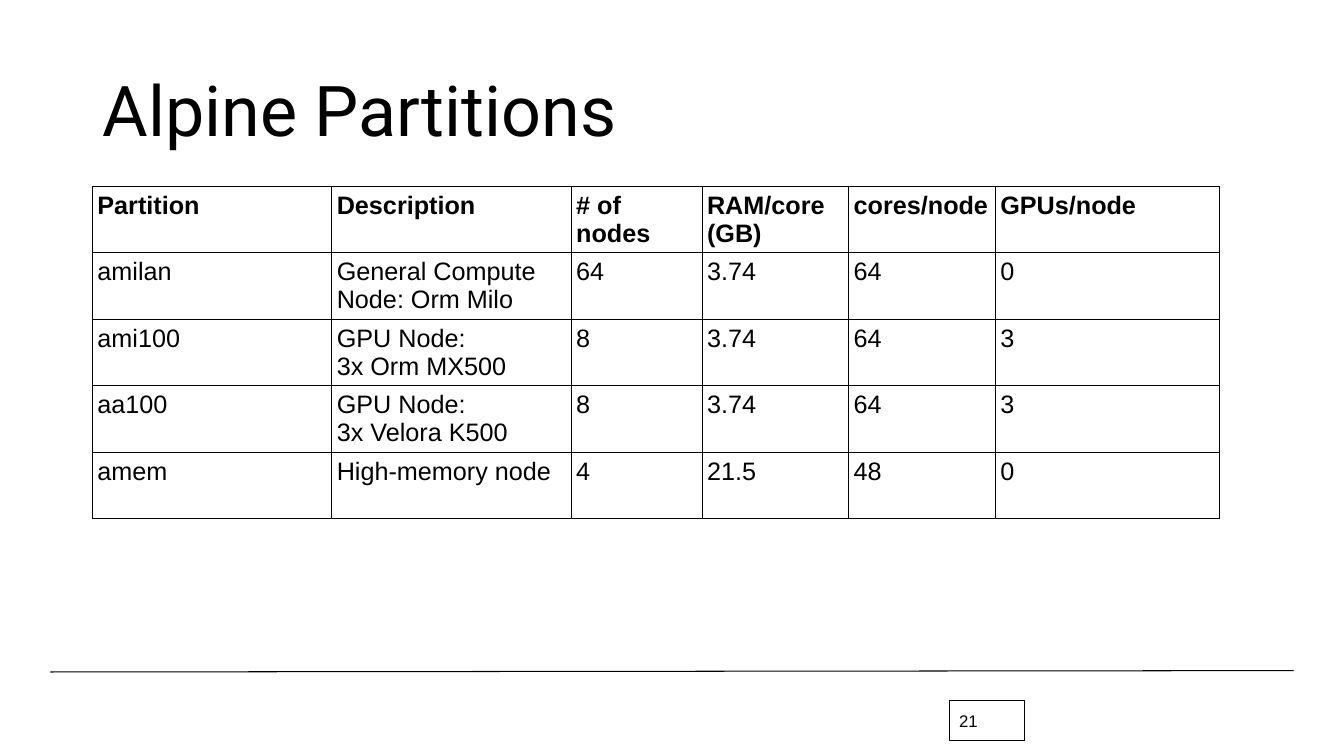
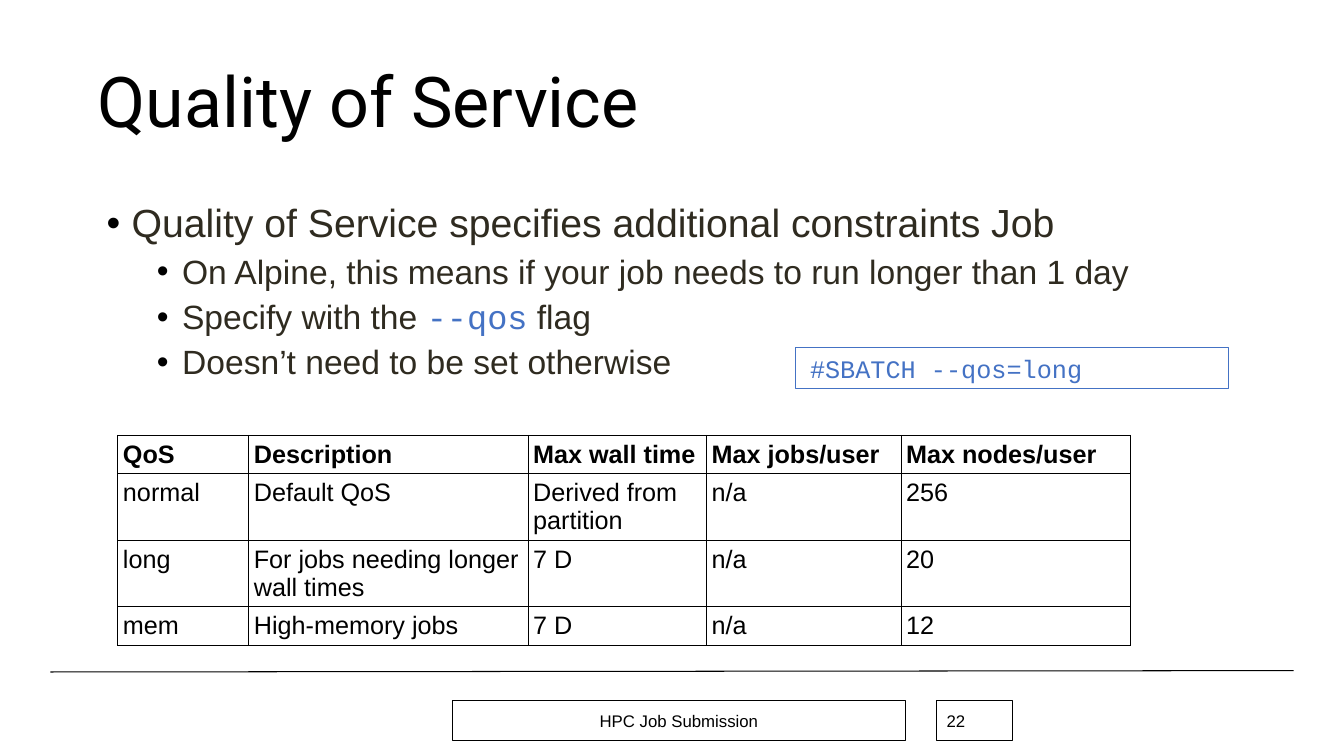
from lxml.etree import SubElement
from pptx import Presentation
from pptx.dml.color import RGBColor
from pptx.enum.shapes import MSO_CONNECTOR, MSO_SHAPE
from pptx.enum.text import MSO_ANCHOR, PP_ALIGN
from pptx.oxml.ns import qn
from pptx.util import Pt

TITLE_ONLY = 5


def color(hex_value):
    return RGBColor.from_string(hex_value)


def add_bullet(paragraph, indent, hanging, hex_value):
    properties = paragraph._p.get_or_add_pPr()
    properties.set("marL", str(Pt(indent)))
    properties.set("indent", str(-Pt(hanging)))
    bullet_color = SubElement(properties, qn("a:buClr"))
    SubElement(bullet_color, qn("a:srgbClr"), val=hex_value)
    SubElement(properties, qn("a:buFont"), typeface="Arial")
    SubElement(properties, qn("a:buChar"), char="•")


def write_text(paragraph, text, size=18, font="Arial", hex_value="000000", bold=False,
               align=PP_ALIGN.LEFT, line_spacing=None, space_before=0):
    """Text between backticks is set as code."""
    paragraph.alignment = align
    paragraph.space_before = Pt(space_before)
    if line_spacing:
        paragraph.line_spacing = line_spacing
    for index, part in enumerate(text.split("`")):
        if not part:
            continue
        is_code = index % 2 == 1
        run = paragraph.add_run()
        run.text = part
        run.font.size = Pt(size)
        run.font.bold = bold
        run.font.name = Deck.CODE_FONT if is_code else font
        run.font.color.rgb = color(Deck.BLUE if is_code else hex_value)


class Deck:
    BLACK = "000000"
    BROWN = "2F2B20"
    BLUE = "4472C4"
    TITLE_FONT = "Roboto"
    CODE_FONT = "Courier New"
    LINE_WIDTH = 0.75
    FOOTER_TOP = 500.4
    FOOTER_HEIGHT = 28.8

    def __init__(self):
        self.presentation = Presentation()
        self.presentation.slide_width = Pt(960)
        self.presentation.slide_height = Pt(540)
        self.slide = None

    def new_slide(self, title, left, top):
        layout = self.presentation.slide_layouts[TITLE_ONLY]
        self.slide = self.presentation.slides.add_slide(layout)
        self.rule()
        shape = self.slide.shapes.title
        shape.left, shape.top, shape.width, shape.height = Pt(left), Pt(top), Pt(828), Pt(104.4)
        frame = shape.text_frame
        frame.vertical_anchor = MSO_ANCHOR.MIDDLE
        write_text(frame.paragraphs[0], title, size=50, font=self.TITLE_FONT, line_spacing=0.9)

    def rule(self):
        connector = self.slide.shapes.add_connector(
            MSO_CONNECTOR.STRAIGHT, Pt(36), Pt(480), Pt(924), Pt(479))
        connector.line.color.rgb = color(self.BLACK)
        connector.line.width = Pt(self.LINE_WIDTH)
        SubElement(connector._element.spPr, qn("a:effectLst"))

    def box(self, text, left, top, width, height, border=BLACK,
            anchor=MSO_ANCHOR.MIDDLE, indent=0, **text_format):
        shape = self.slide.shapes.add_shape(
            MSO_SHAPE.RECTANGLE, Pt(left), Pt(top), Pt(width), Pt(height))
        shape.shadow.inherit = False
        shape.fill.background()
        shape.line.color.rgb = color(border)
        shape.line.width = Pt(self.LINE_WIDTH)
        frame = shape.text_frame
        frame.vertical_anchor = anchor
        paragraph = frame.paragraphs[0]
        paragraph._p.get_or_add_pPr().set("marL", str(Pt(indent)))
        write_text(paragraph, text, **text_format)

    def footer_box(self, text, left, width, align=PP_ALIGN.LEFT):
        self.box(text, left, self.FOOTER_TOP, width, self.FOOTER_HEIGHT, size=12, align=align)

    def bullets(self, items, left, top, width, height):
        frame = self.slide.shapes.add_textbox(
            Pt(left), Pt(top), Pt(width), Pt(height)).text_frame
        frame.word_wrap = True
        for index, (level, text) in enumerate(items):
            paragraph = frame.add_paragraph() if index else frame.paragraphs[0]
            paragraph.level = level
            add_bullet(paragraph, 21 + 36 * level, 18, self.BLACK)
            write_text(paragraph, text, size=28 - 4 * level, hex_value=self.BROWN,
                       line_spacing=0.9, space_before=6.5 if index else 0)

    def table(self, rows, left, top, widths, heights):
        shape = self.slide.shapes.add_table(
            len(rows), len(widths), Pt(left), Pt(top), Pt(sum(widths)), Pt(sum(heights)))
        table = shape.table
        for column, width in zip(table.columns, widths):
            column.width = Pt(width)
        for row_index, (row, height) in enumerate(zip(rows, heights)):
            table.rows[row_index].height = Pt(height)
            for column_index, text in enumerate(row):
                self.fill_cell(table.cell(row_index, column_index), text, bold=row_index == 0)

    def fill_cell(self, cell, text, bold):
        cell.margin_left = cell.margin_right = cell.margin_top = cell.margin_bottom = Pt(3.6)
        properties = cell._tc.get_or_add_tcPr()
        for side in ("lnL", "lnR", "lnT", "lnB"):
            border = SubElement(properties, qn("a:" + side), w=str(Pt(self.LINE_WIDTH)))
            SubElement(SubElement(border, qn("a:solidFill")), qn("a:srgbClr"), val=self.BLACK)
        cell.fill.background()
        frame = cell.text_frame
        for index, line in enumerate(text.split("\n")):
            paragraph = frame.add_paragraph() if index else frame.paragraphs[0]
            write_text(paragraph, line, bold=bold)


def partitions_slide(deck):
    deck.new_slide("Alpine Partitions", 66, 29)
    deck.footer_box("21", 678, 54)
    rows = [
        ("Partition", "Description", "# of nodes", "RAM/core (GB)", "cores/node", "GPUs/node"),
        ("amilan", "General Compute Node: Orm Milo", "64", "3.74", "64", "0"),
        ("ami100", "GPU Node:\n3x Orm MX500", "8", "3.74", "64", "3"),
        ("aa100", "GPU Node:\n3x Velora K500", "8", "3.74", "64", "3"),
        ("amem", "High-memory node", "4", "21.5", "48", "0"),
    ]
    deck.table(rows, 66, 133, [171, 171, 93.5, 104.75, 104.75, 160], [47.2] * len(rows))


def quality_slide(deck):
    deck.new_slide("Quality of Service", 62.5, 23)

    # Limits of each service level
    rows = [
        ("QoS", "Description", "Max wall time", "Max jobs/user", "Max nodes/user"),
        ("normal", "Default QoS", "Derived from partition", "n/a", "256"),
        ("long", "For jobs needing longer wall times", "7 D", "n/a", "20"),
        ("mem", "High-memory jobs", "7 D", "n/a", "12"),
    ]
    deck.table(rows, 84.25, 311, [93.5, 199.5, 127.5, 139, 163.5], [27.2, 47.2, 47.2, 27.2])

    # Footer
    deck.footer_box("HPC Job Submission", 323, 324, align=PP_ALIGN.CENTER)
    deck.footer_box("22", 669, 54)

    # Explanation and example
    deck.bullets([
        (0, "Quality of Service specifies additional constraints Job"),
        (1, "On Alpine, this means if your job needs to run longer than 1 day"),
        (1, "Specify with the `--qos` flag"),
        (1, "Doesn’t need to be set otherwise"),
    ], 66, 142, 852, 328)
    deck.box("`#SBATCH --qos=long`", 568.5, 248.5, 309, 28.8, border=deck.BLUE,
             anchor=MSO_ANCHOR.TOP, indent=3)


def main():
    deck = Deck()
    partitions_slide(deck)
    quality_slide(deck)
    deck.presentation.save("out.pptx")


if __name__ == "__main__":
    main()
